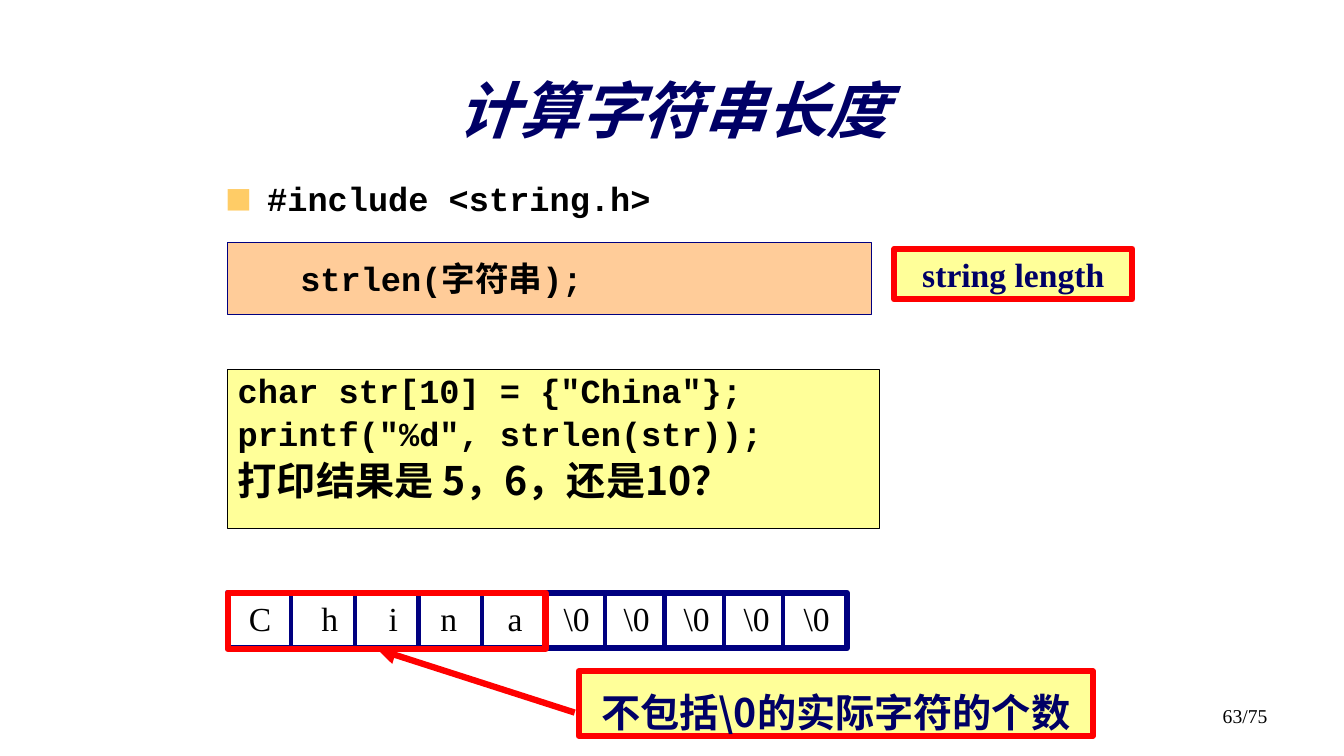
from lxml import etree
from pptx import Presentation
from pptx import util as u
from pptx.dml import color as dml
from pptx.enum import shapes, text
from pptx.oxml import ns

COLORS = {
    "navy": "000066", "frame": "000080", "red": "FF0000", "black": "000000",
    "peach": "FFCC99", "yellow": "FFFF99", "bullet": "FFCC66",
}
SERIF, MONO, CJK = "Times New Roman", "Courier New", "Noto Sans CJK SC"
CELL_TEXTS = ["C", "h", "i", "n", "a"] + ["\\0"] * 5
LETTER_CENTERS = [0.32, 1.01, 1.64, 2.19, 2.85]
ZERO_START, ZERO_STEP = 3.46, 0.595
LETTER_WIDTH, ZERO_WIDTH = 0.63, 0.59


def rgb(name):
    return dml.RGBColor.from_string(COLORS[name])


def add_xml(parent, tag, **attributes):
    return etree.SubElement(parent, ns.qn(tag), attributes)


def place(shape, box):
    shape.left, shape.top, shape.width, shape.height = map(u.Inches, box)


def style(paragraph, size, font, color, bold=True, spacing=None, align=None):
    paragraph.alignment = align
    if spacing:
        paragraph.line_spacing = spacing
    for run in paragraph.runs:
        run.font.size = u.Pt(size)
        run.font.bold = bold
        run.font.color.rgb = rgb(color)
        run.font.name = font
        add_xml(run.font._element, "a:ea", typeface=CJK)


def indent(paragraph, left, hanging):
    properties = paragraph._p.get_or_add_pPr()
    properties.set("marL", str(u.Inches(left)))
    properties.set("indent", str(-u.Inches(hanging)))
    return properties


def frame_text(shape, anchor=text.MSO_ANCHOR.TOP):
    frame = shape.text_frame
    frame.word_wrap = True
    frame.auto_size = text.MSO_AUTO_SIZE.NONE
    frame.vertical_anchor = anchor
    return frame


def add_box(slide, box, line, width, fill=None):
    panel = slide.shapes.add_shape(shapes.MSO_SHAPE.RECTANGLE, *map(u.Inches, box))
    panel.shadow.inherit = False
    if fill:
        panel.fill.solid()
        panel.fill.fore_color.rgb = rgb(fill)
    else:
        panel.fill.background()
    panel.line.color.rgb = rgb(line)
    panel.line.width = u.Pt(width)
    return panel


def add_line(slide, start, end, color, width, arrow=False):
    line = slide.shapes.add_connector(
        shapes.MSO_CONNECTOR.STRAIGHT, *map(u.Inches, start + end))
    line.line.color.rgb = rgb(color)
    line.line.width = u.Pt(width)
    if arrow:
        add_xml(line.line._get_or_add_ln(), "a:tailEnd", type="triangle")
    add_xml(line._element.spPr, "a:effectLst")


def add_title(slide, box):
    title = slide.shapes.title
    place(title, box)
    frame = frame_text(title, text.MSO_ANCHOR.MIDDLE)
    frame.text = "计算字符串长度"
    heading = frame.paragraphs[0]
    style(heading, 44, SERIF, "navy", spacing=0.85, align=text.PP_ALIGN.CENTER)
    font = heading.runs[0].font
    font.italic = True
    effects = etree.Element(ns.qn("a:effectLst"))
    shadow = add_xml(effects, "a:outerShdw", dist="35921", dir="2700000")
    add_xml(shadow, "a:srgbClr", val=COLORS["black"])
    font._element.find(ns.qn("a:solidFill")).addnext(effects)


def add_include(slide, box):
    body = slide.placeholders[1]
    place(body, box)
    frame = frame_text(body)
    frame.text = "#include <string.h>"
    include = frame.paragraphs[0]
    properties = indent(include, 0.41, 0.41)
    bullet_color = add_xml(properties, "a:buClr")
    add_xml(bullet_color, "a:srgbClr", val=COLORS["bullet"])
    add_xml(properties, "a:buSzPct", val="80000")
    add_xml(properties, "a:buFont", typeface=CJK)
    add_xml(properties, "a:buChar", char="■")
    include.space_before = u.Pt(0)
    style(include, 24, MONO, "black", spacing=1.05)


def add_syntax(slide, box):
    frame = frame_text(add_box(slide, box, "frame", 0.75, "peach"))
    frame.text = "strlen(字符串);"
    call = frame.paragraphs[0]
    indent(call, 0.93, 0.31)
    style(call, 24, MONO, "black", spacing=1.25, align=text.PP_ALIGN.LEFT)


def add_callout(slide, box, words, size, font, spacing=None):
    frame = frame_text(add_box(slide, box, "red", 4.5, "yellow"))
    frame.text = words
    style(frame.paragraphs[0], size, font, "navy", spacing=spacing,
          align=text.PP_ALIGN.CENTER)


def add_example(slide, box):
    frame = frame_text(add_box(slide, box, "black", 0.75, "yellow"))
    lines = [
        ('char str[10] = {"China"};', 24, MONO),
        ('printf("%d", strlen(str));', 24, MONO),
        ("打印结果是 5，6，还是10？", 28, CJK),
    ]
    frame.text = "\n".join(words for words, _, _ in lines)
    for number, (paragraph, (_, size, font)) in enumerate(zip(frame.paragraphs, lines)):
        indent(paragraph, 0.41, 0.41)
        if number:
            paragraph.space_before = u.Pt(size * 0.2)
        style(paragraph, size, font, "black", spacing=0.9, align=text.PP_ALIGN.LEFT)


def add_memory(slide, box):
    left, top, width, height = box
    add_box(slide, box, "frame", 4.5)
    word_width = 5 * LETTER_WIDTH
    dividers = [LETTER_WIDTH * n for n in range(1, 6)]
    dividers += [word_width + ZERO_WIDTH * n for n in range(1, 5)]
    for offset in dividers:
        add_line(slide, (left + offset, top), (left + offset, top + height), "frame", 3)

    characters = slide.shapes.add_textbox(
        *map(u.Inches, (left, top, width + 0.1, height)))
    frame = frame_text(characters)
    frame.margin_left = frame.margin_right = 0
    frame.text = "".join("\t" + cell for cell in CELL_TEXTS)
    row = frame.paragraphs[0]
    tabs = add_xml(row._p.get_or_add_pPr(), "a:tabLst")
    for center in LETTER_CENTERS + [ZERO_START + ZERO_STEP * n for n in range(5)]:
        add_xml(tabs, "a:tab", pos=str(u.Inches(center)), algn="ctr")
    style(row, 24, SERIF, "black", bold=False)


def add_answer(slide, box, word_box):
    left, top, _, height = box
    word_left, word_top, word_width, word_height = word_box
    target = (word_left + word_width * 0.47, word_top + word_height)
    add_line(slide, (left - 0.04, top + height * 0.64), target, "red", 4.5, arrow=True)
    add_callout(slide, box, "不包括\\0的实际字符的个数", 28, CJK, 1.25)
    add_box(slide, word_box, "red", 4.5)


def add_page_number(slide, box):
    number = slide.shapes.add_textbox(*map(u.Inches, box))
    frame = frame_text(number)
    frame.text = "63/75"
    style(frame.paragraphs[0], 14, SERIF, "black", bold=False,
          align=text.PP_ALIGN.RIGHT)


def main():
    deck = Presentation()
    deck.slide_width, deck.slide_height = u.Inches(13.33), u.Inches(7.5)
    slide = deck.slides.add_slide(deck.slide_layouts[1])
    add_page_number(slide, (9.56, 6.93, 3.11, 0.52))
    add_title(slide, (0.99, 0.68, 11.37, 0.92))
    add_include(slide, (2.14, 1.7, 9.25, 0.63))
    add_syntax(slide, (2.26, 2.41, 6.38, 0.71))
    add_callout(slide, (8.87, 2.47, 2.36, 0.5), "string length", 24, SERIF)
    add_example(slide, (2.26, 3.67, 6.46, 1.57))
    add_memory(slide, (2.26, 5.88, 6.14, 0.55))
    add_answer(slide, (5.74, 6.66, 5.1, 0.64), (2.26, 5.88, 5 * LETTER_WIDTH, 0.56))
    deck.save("out.pptx")


if __name__ == "__main__":
    main()
